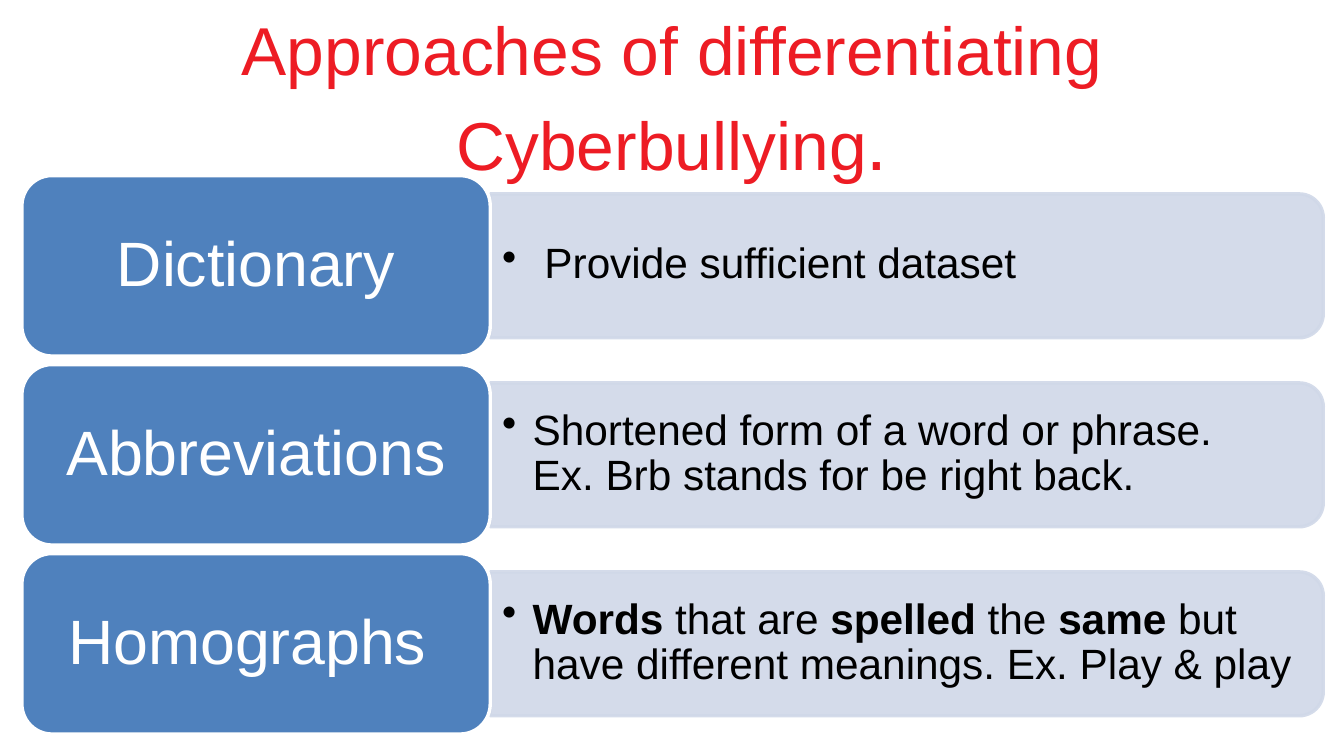
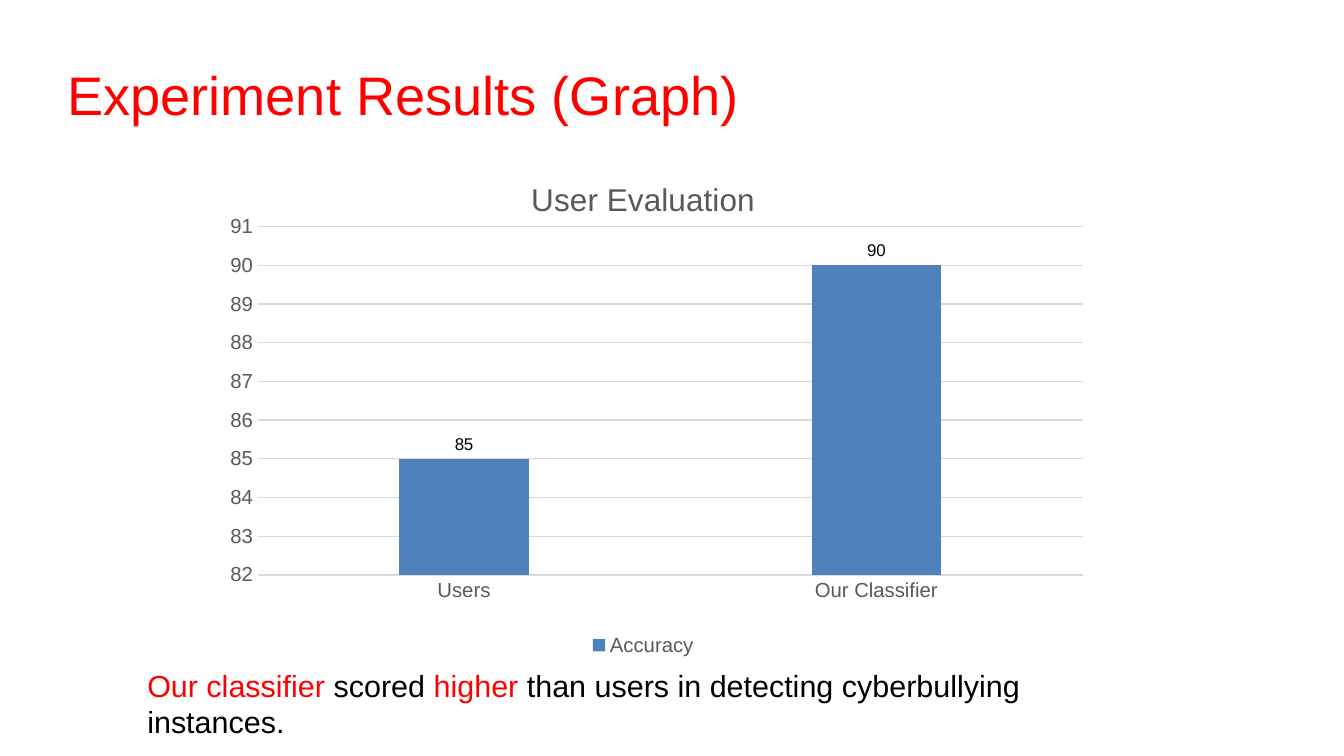
from lxml.etree import SubElement
from pptx import Presentation
from pptx.chart.data import CategoryChartData
from pptx.dml.color import RGBColor
from pptx.enum.chart import XL_CHART_TYPE, XL_LABEL_POSITION, XL_LEGEND_POSITION, XL_TICK_MARK
from pptx.enum.shapes import MSO_SHAPE
from pptx.enum.text import MSO_ANCHOR, MSO_AUTO_SIZE, PP_ALIGN
from pptx.oxml import parse_xml
from pptx.oxml.ns import nsdecls, qn
from pptx.util import Inches, Pt

FONT = "Arial"
BLUE, PALE, WHITE, BLACK = "4F81BD", "D0D8E8", "FFFFFF", "000000"
RED, TITLE_RED, GRAY, RULE = "FF0000", "ED1C24", "595959", "D9D9D9"


def rgb(value):
    return RGBColor.from_string(value)


def style_font(font, size, color, bold=False):
    font.name, font.size, font.bold = FONT, Pt(size), bold
    font.color.rgb = rgb(color)


def write(frame, runs, size=18, color=BLACK, align=PP_ALIGN.LEFT, anchor=MSO_ANCHOR.MIDDLE,
          inset=(0.1, 0.05), spacing=1.0, bullet=False):
    """Fill a frame with one paragraph; a run is a string or (string, overrides)."""
    frame.word_wrap, frame.auto_size = True, MSO_AUTO_SIZE.NONE
    frame.vertical_anchor = anchor
    frame.margin_left = frame.margin_right = Inches(inset[0])
    frame.margin_top = frame.margin_bottom = Inches(inset[1])
    paragraph = frame.paragraphs[0]
    paragraph.alignment, paragraph.line_spacing = align, spacing
    if bullet:
        props = paragraph._p.get_or_add_pPr()
        props.set("marL", str(Inches(0.25)))
        props.set("indent", str(-Inches(0.25)))
        SubElement(props, qn("a:buChar")).set("char", "•")
    for item in [runs] if isinstance(runs, str) else runs:
        text, extra = (item, {}) if isinstance(item, str) else item
        for number, line in enumerate(text.split("\n")):
            if number:
                paragraph.add_line_break()
            run = paragraph.add_run()
            run.text = line
            style_font(run.font, **{"size": size, "color": color, **extra})


class Deck:
    def __init__(self):
        self.prs = Presentation()
        self.prs.slide_width, self.prs.slide_height = Inches(11.02), Inches(6.2)
        self.slide = None

    def new_slide(self, title, width, **style):
        self.slide = self.prs.slides.add_slide(self.prs.slide_layouts[5])
        heading = self.slide.shapes.title
        heading.left, heading.top = Inches(0.55), Inches(0.25)
        heading.width, heading.height = Inches(width), Inches(1.04)
        write(heading.text_frame, title, inset=(0, 0), **style)

    def text(self, runs, left, top, width, height, **style):
        box = self.slide.shapes.add_textbox(*map(Inches, (left, top, width, height)))
        write(box.text_frame, runs, **style)

    def shape(self, kind, left, top, width, height, fill, line, opacity=None):
        shape = self.slide.shapes.add_shape(kind, *map(Inches, (left, top, width, height)))
        shape.shadow.inherit = False
        shape.fill.solid()
        shape.fill.fore_color.rgb = rgb(fill)
        shape.line.color.rgb, shape.line.width = rgb(line), Pt(2)
        if opacity:
            for color in shape._element.spPr.iter(qn("a:srgbClr")):
                SubElement(color, qn("a:alpha")).set("val", str(opacity * 1000))
        return shape

    def approach(self, name, detail, top):
        """A blue name card with a pale detail panel to its right."""
        card_left, card_width, card_height = 0.18, 3.84, 1.48
        panel_left, panel_width, panel_height = card_left + card_width, 6.83, 1.18
        panel_top = top + (card_height - panel_height) / 2
        # The panel is a tall shape turned by a quarter
        turn = (panel_width - panel_height) / 2
        panel = self.shape(MSO_SHAPE.ROUND_2_SAME_RECTANGLE, panel_left + turn, panel_top - turn,
                           panel_height, panel_width, PALE, PALE, opacity=90)
        panel.rotation = 90
        self.text(detail, panel_left, panel_top + 0.05, 6.77, 1.07,
                  size=25, spacing=0.9, bullet=True)
        card = self.shape(MSO_SHAPE.ROUNDED_RECTANGLE, card_left, top,
                          card_width, card_height, BLUE, WHITE)
        write(card.text_frame, name, size=37, color=WHITE, align=PP_ALIGN.CENTER,
              inset=(0.15, 0.08), spacing=0.9)

    def column_chart(self, title, categories, series, values, left, top, width, height,
                     scale, plot_area):
        data = CategoryChartData()
        data.categories = categories
        data.add_series(series, values)
        chart = self.slide.shapes.add_chart(
            XL_CHART_TYPE.COLUMN_CLUSTERED, *map(Inches, (left, top, width, height)), data).chart
        style_font(chart.font, 10, BLACK)

        # Title and legend
        chart.has_title = True
        heading = chart.chart_title.text_frame
        heading.text = title
        style_font(heading.paragraphs[0].runs[0].font, 18.6, GRAY)
        chart.has_legend = True
        chart.legend.position = XL_LEGEND_POSITION.BOTTOM
        chart.legend.include_in_layout = False
        style_font(chart.legend.font, 12, GRAY)

        # Axes
        category_axis, value_axis = chart.category_axis, chart.value_axis
        for axis in (category_axis, value_axis):
            axis.major_tick_mark = axis.minor_tick_mark = XL_TICK_MARK.NONE
            style_font(axis.tick_labels.font, 12, GRAY)
        value_axis.minimum_scale, value_axis.maximum_scale = scale
        value_axis.major_unit = 1
        value_axis.has_major_gridlines = True
        value_axis.format.line.fill.background()
        for line in (category_axis.format.line, value_axis.major_gridlines.format.line):
            line.color.rgb, line.width = rgb(RULE), Pt(0.75)

        # Columns and their labels
        plot = chart.plots[0]
        plot.gap_width, plot.overlap, plot.vary_by_categories = 219, -27, False
        fill = plot.series[0].format.fill
        fill.solid()
        fill.fore_color.rgb = rgb(BLUE)
        plot.has_data_labels = True
        labels = plot.data_labels
        labels.show_value, labels.position = True, XL_LABEL_POSITION.OUTSIDE_END
        style_font(labels.font, 10, BLACK)

        # Fixed inner plot area, as fractions of the chart
        area = chart._chartSpace.chart.plotArea
        for layout in area.findall(qn("c:layout")):
            area.remove(layout)
        places = "".join(f'<c:{key} val="{value}"/>' for key, value in zip("xywh", plot_area))
        area.insert(0, parse_xml(
            f'<c:layout {nsdecls("c")}><c:manualLayout><c:layoutTarget val="inner"/>'
            f'<c:xMode val="edge"/><c:yMode val="edge"/>{places}</c:manualLayout></c:layout>'))


def main():
    deck = Deck()

    # Approaches
    deck.new_slide(["Approaches of differentiating Cyberbullying", (".", {"size": 44})], 9.92,
                   size=40, color=TITLE_RED, align=PP_ALIGN.CENTER, spacing=1.07)
    bold = {"bold": True}
    approaches = [
        ("Dictionary", " Provide sufficient dataset"),
        ("Abbreviations", "Shortened form of a word or phrase.\nEx. Brb stands for be right back."),
        ("Homographs ", [("Words", bold), " that are ", ("spelled", bold), " the ", ("same", bold),
                         " but have different meanings. Ex. Play & play"]),
    ]
    for row, (name, detail) in enumerate(approaches):
        deck.approach(name, detail, top=1.44 + row * 1.55)

    # Experiment results
    deck.new_slide("Experiment Results (Graph)", 8.35, size=32, color=RED)
    deck.column_chart("User Evaluation", ["Users", "Our Classifier"], "Accuracy", [85, 90],
                      1.6, 1.28, 7.35, 4.14, scale=(82, 91), plot_area=(0.07, 0.14, 0.92, 0.69))
    red = {"color": RED}
    deck.text([("Our classifier ", red), "scored ", ("higher ", red),
               "than users in detecting cyberbullying instances."],
              1.11, 5.42, 8.33, 0.71, anchor=MSO_ANCHOR.TOP)

    deck.prs.save("out.pptx")


if __name__ == "__main__":
    main()
